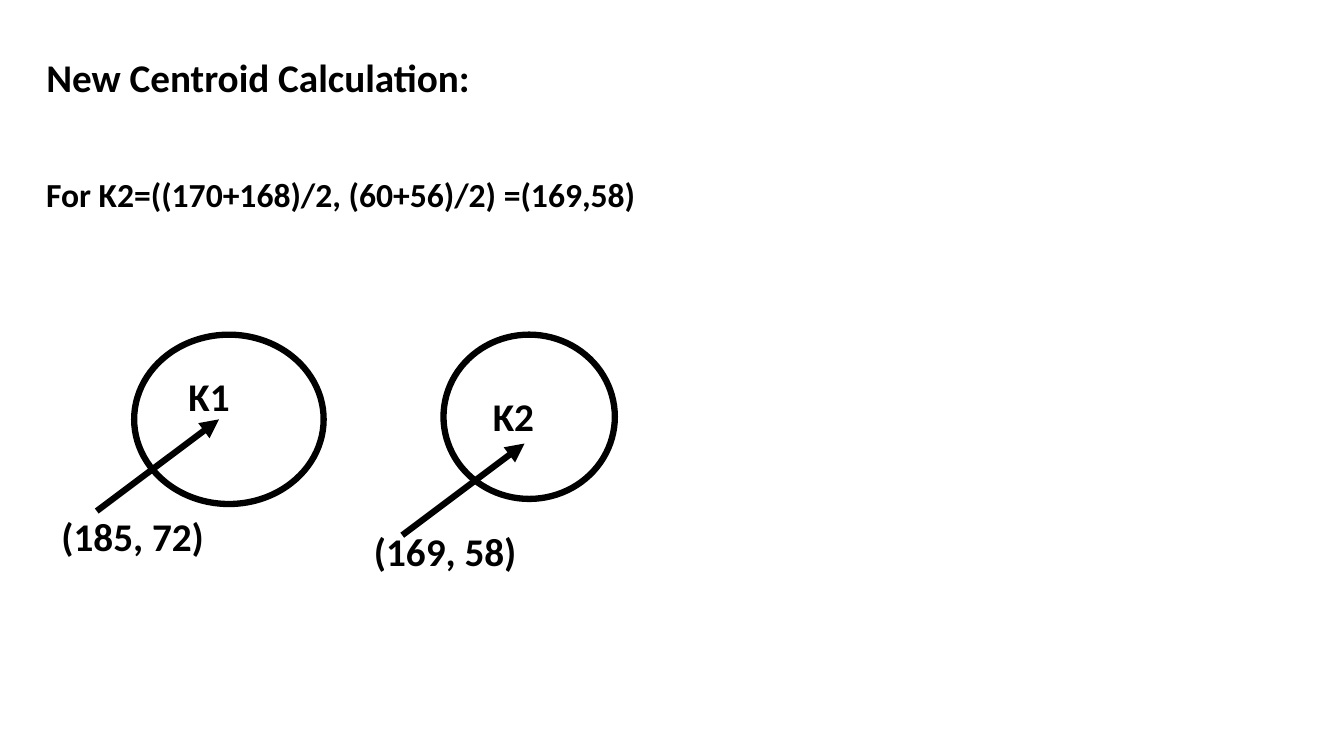
from lxml import etree
from pptx import Presentation
from pptx import util as u
from pptx.dml.color import RGBColor
from pptx.enum import shapes, text
from pptx.oxml.ns import qn

BLACK = RGBColor(0, 0, 0)
WIDTH, HEIGHT = u.Inches(13.333), u.Inches(7.5)
STROKE = u.Pt(4.5)
MARGIN = 2.7
ARROW_RUN, ARROW_RISE = 9.1, 12.13

CLUSTERS = [
    dict(name="K1", name_area=(13.28, 48.53, 5.78, 10.93),
         circle_area=(9.98, 44.27, 14.1, 22.4),
         centroid="(185, 72)", centroid_area=(3.83, 67.07, 12.3, 7.6),
         arrow_start=(7.2, 67.6)),
    dict(name="K2", name_area=(35.93, 51.2, 4.65, 7.6),
         circle_area=(33, 44.27, 12.75, 21.73),
         centroid="(169, 58)", centroid_area=(27.08, 69.07, 12.3, 7.6),
         arrow_start=(29.93, 70.8)),
]


def across(percent):
    """Convert a percentage of the slide width to a length."""
    return u.Emu(round(WIDTH * percent / 100))


def down(percent):
    """Convert a percentage of the slide height to a length."""
    return u.Emu(round(HEIGHT * percent / 100))


def place(area):
    """Convert left, top, width and height percentages to lengths."""
    left, top, width, height = area
    return across(left), down(top), across(width), down(height)


def write(holder, words, size=28, bold=True, color=BLACK, face="Calibri"):
    """Write one left-aligned line of formatted words into a holder."""
    frame = holder.text_frame
    frame.text = words
    frame.word_wrap = False
    frame.auto_size = text.MSO_AUTO_SIZE.SHAPE_TO_FIT_TEXT
    frame.vertical_anchor = text.MSO_ANCHOR.TOP
    line = frame.paragraphs[0]
    line.alignment = text.PP_ALIGN.LEFT
    font = line.runs[0].font
    font.name, font.size, font.bold = face, u.Pt(size), bold
    font.color.rgb = color


def add_label(slide, words, area, **style):
    """Add a text box holding one line of words."""
    write(slide.shapes.add_textbox(*place(area)), words, **style)


def add_circle(slide, area):
    """Draw the unfilled outline of a cluster."""
    circle = slide.shapes.add_shape(shapes.MSO_SHAPE.OVAL, *place(area))
    circle.shadow.inherit = False
    circle.fill.background()
    circle.line.color.rgb = BLACK
    circle.line.width = STROKE


def add_arrow(slide, start):
    """Draw an arrow rising from a centroid's coordinates to its cluster."""
    x, y = start
    arrow = slide.shapes.add_connector(
        shapes.MSO_CONNECTOR.STRAIGHT, across(x), down(y),
        across(x + ARROW_RUN), down(y - ARROW_RISE))
    arrow.line.color.rgb = BLACK
    arrow.line.width = STROKE
    properties = arrow.line._get_or_add_ln()
    etree.SubElement(properties, qn("a:tailEnd"), type="triangle")
    etree.SubElement(arrow._element.spPr, qn("a:effectLst"))


def add_cluster(slide, cluster):
    """Add a cluster with its name, centroid and arrow."""
    add_label(slide, cluster["name"], cluster["name_area"])
    add_circle(slide, cluster["circle_area"])
    add_label(slide, cluster["centroid"], cluster["centroid_area"])
    add_arrow(slide, cluster["arrow_start"])


def main():
    """Build and save the centroid slide."""
    deck = Presentation()
    deck.slide_width, deck.slide_height = WIDTH, HEIGHT
    slide = deck.slides.add_slide(deck.slide_layouts.get_by_name("Title Only"))
    title = slide.shapes.title
    title.left, title.top, title.width, title.height = place(
        (MARGIN, 6.4, 33.45, 7.6))
    write(title, "New Centroid Calculation:")
    add_label(slide, "For K2=((170+168)/2, (60+56)/2) =(169,58)",
              (MARGIN, 22.4, 45.75, 6.67), size=24)
    for cluster in CLUSTERS:
        add_cluster(slide, cluster)
    deck.save("out.pptx")


if __name__ == "__main__":
    main()
